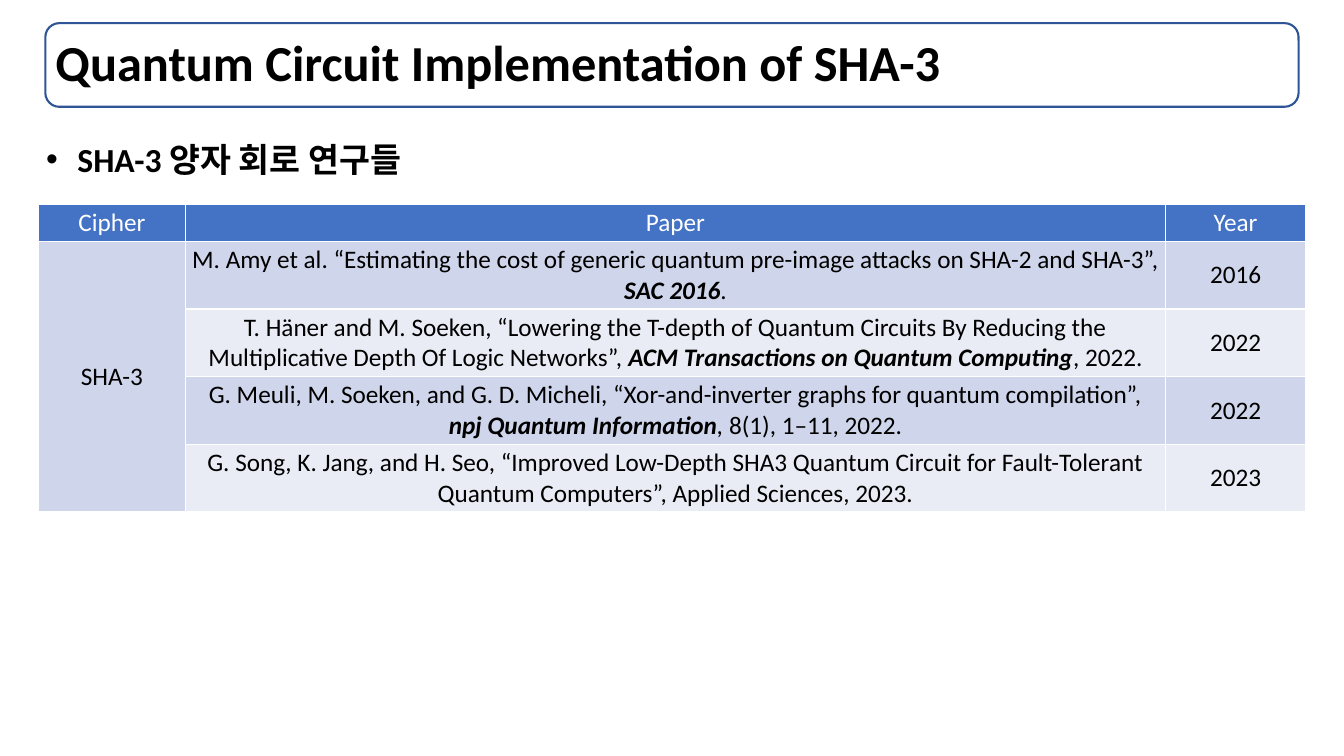
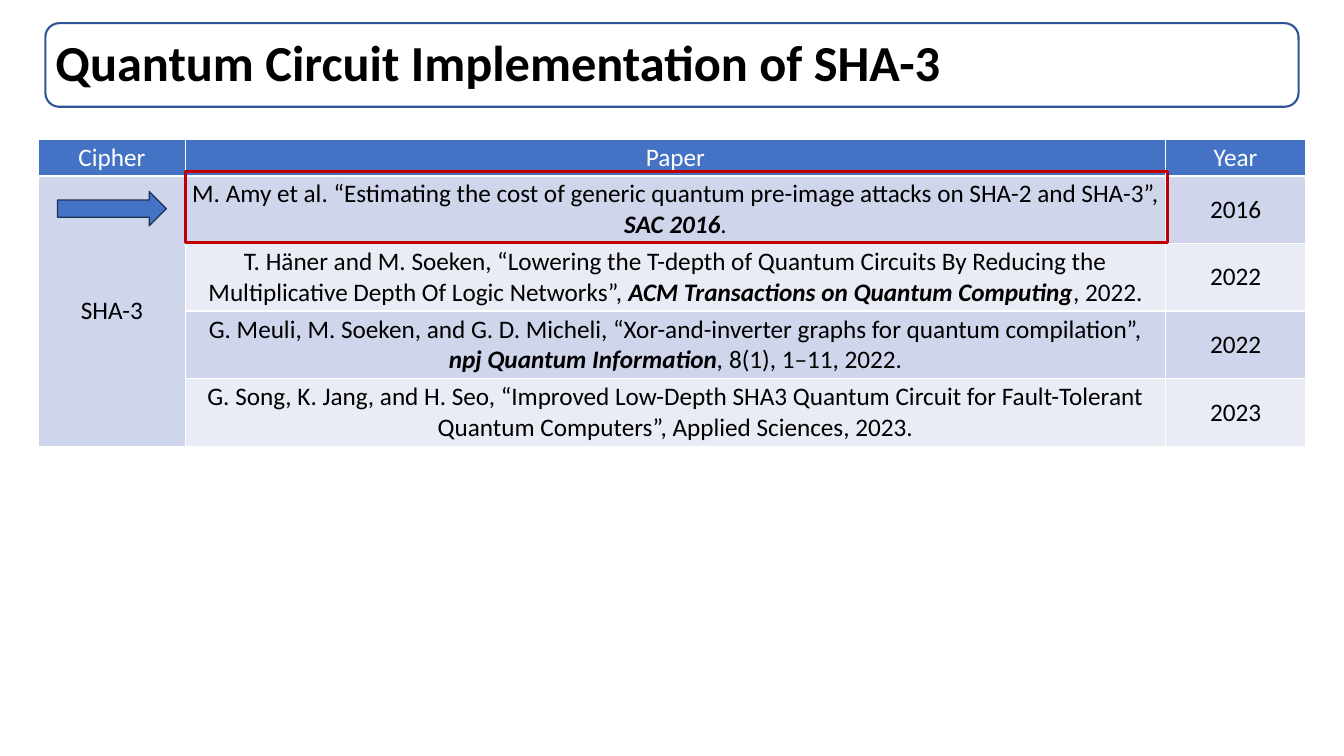
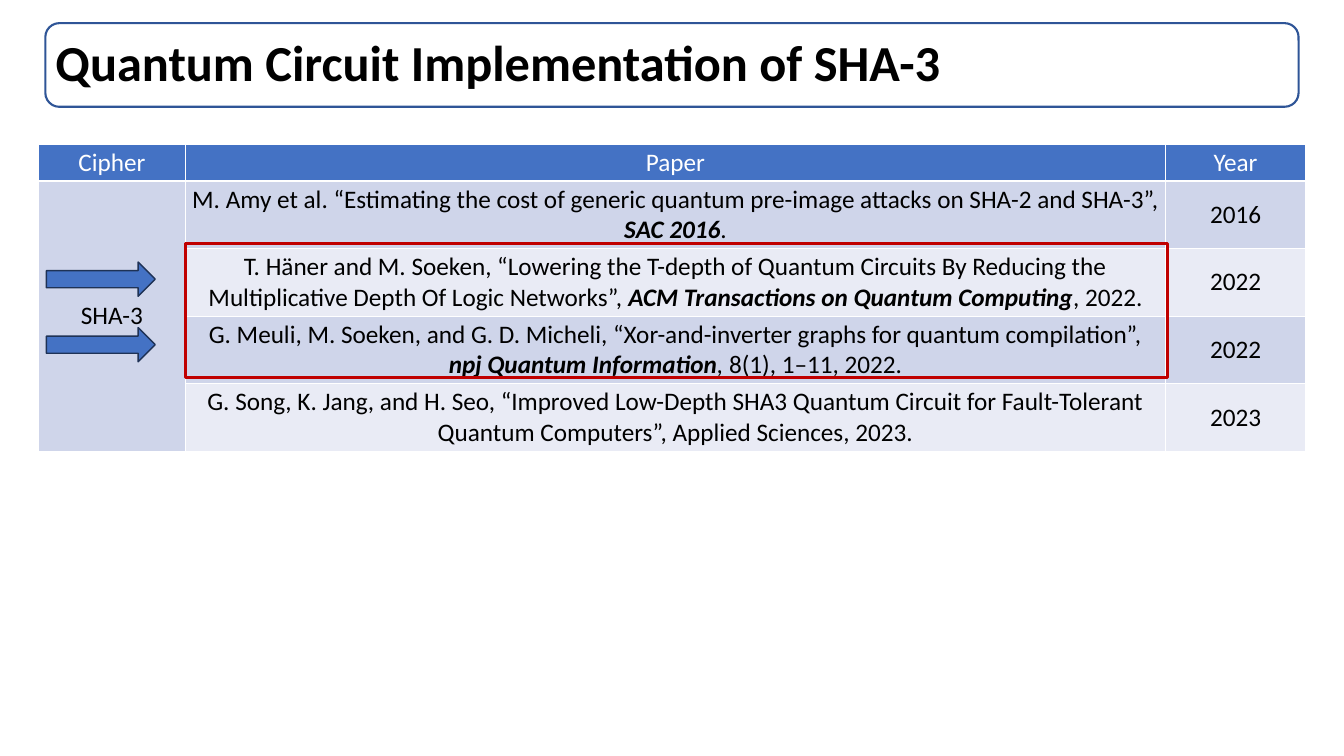
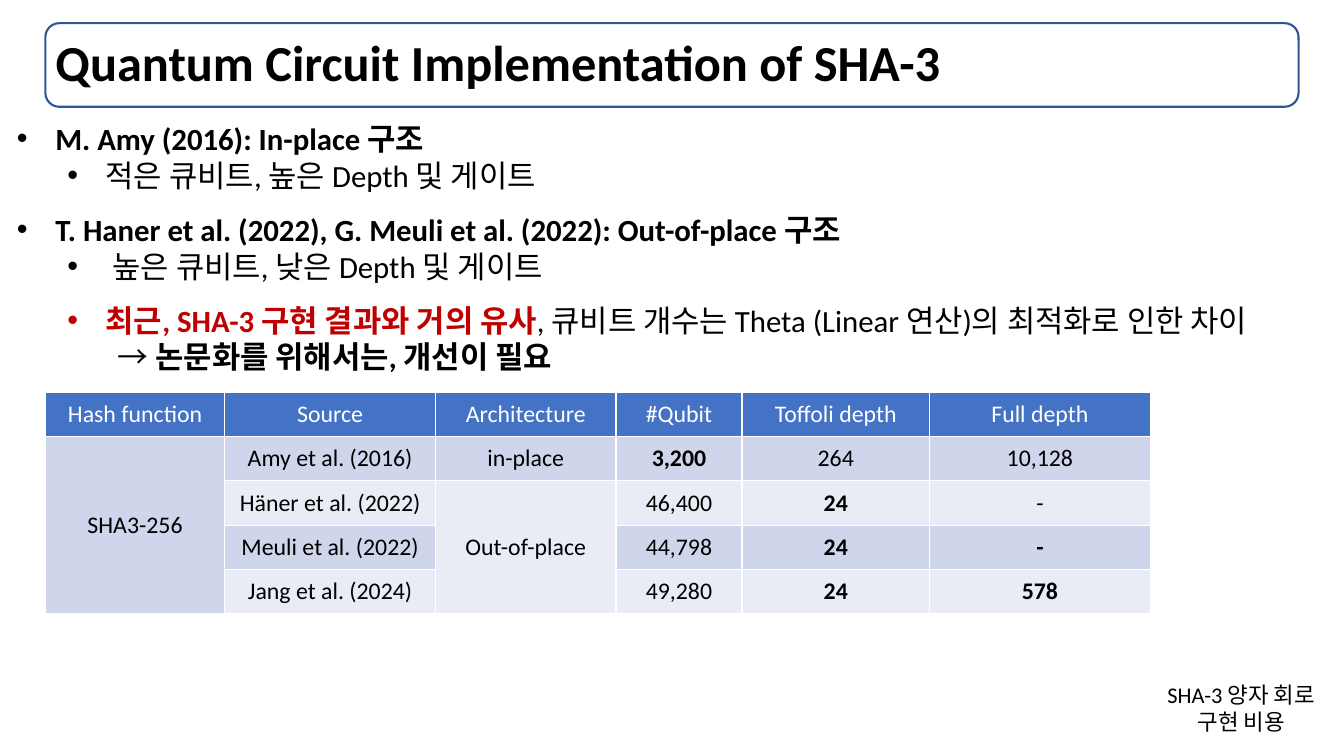
import lxml.etree
import pptx
import pptx.dml.color
import pptx.enum.shapes
import pptx.enum.text
import pptx.oxml.ns
import pptx.util

Inches, Pt = pptx.util.Inches, pptx.util.Pt
ALIGN = pptx.enum.text.PP_ALIGN
SHAPE = pptx.enum.shapes.MSO_SHAPE
MIDDLE = pptx.enum.text.MSO_ANCHOR.MIDDLE
hex_color = pptx.dml.color.RGBColor.from_string

BLACK, WHITE, BLUE, RED = "000000", "FFFFFF", "4472C4", "C00000"
BAND_COLORS = ["E9EBF5", "CFD5EA"]
BANNER_LINE, ARROW_LINE = "2F5597", "1E3256"
FONT = "Calibri"
TITLE = "Quantum Circuit Implementation of SHA-3"


def add_run(paragraph, text, size, color=BLACK, style=""):
    """Style holds b for bold and i for italic."""
    run = paragraph.add_run()
    run.text = text
    run.font.name = FONT
    run.font.size = Pt(size)
    run.font.color.rgb = hex_color(color)
    run.font.bold = "b" in style
    run.font.italic = "i" in style


def add_banded_table(slide, left, top, widths, heights, rows, spans, size, margins):
    """Cells hold a string or a list of (text, style); spans are (row, column, last row)."""
    table = slide.shapes.add_table(
        len(rows), len(widths), Inches(left), Inches(top),
        Inches(sum(widths)), Inches(sum(heights))).table
    for column, width in zip(table.columns, widths):
        column.width = Inches(width)
    for row, height in zip(table.rows, heights):
        row.height = Inches(height)
    for row_index, row in enumerate(rows):
        for column_index, content in enumerate(row):
            cell = table.cell(row_index, column_index)
            cell.fill.solid()
            cell.fill.fore_color.rgb = hex_color(BAND_COLORS[row_index % 2] if row_index else BLUE)
            cell.vertical_anchor = MIDDLE
            cell.margin_left = cell.margin_right = Inches(margins[0])
            cell.margin_top = cell.margin_bottom = Inches(margins[1])
            if content is None:
                continue
            paragraph = cell.text_frame.paragraphs[0]
            paragraph.alignment = ALIGN.CENTER
            runs = [(content, "")] if isinstance(content, str) else content
            for text, style in runs:
                add_run(paragraph, text, size, BLACK if row_index else WHITE, style)
    for first_row, column_index, last_row in spans:
        table.cell(first_row, column_index).merge(table.cell(last_row, column_index))


presentation = pptx.Presentation()
presentation.slide_width = Inches(13.33)
presentation.slide_height = Inches(7.5)

# Shared title and banner
layout = presentation.slide_layouts.get_by_name("Title Only")
banner_box = [Inches(length) for length in (0.45, 0.23, 12.43, 0.83)]
layout_title = layout.placeholders[0]
layout_title.left, layout_title.top, layout_title.width, layout_title.height = banner_box

slides = []
for _ in range(4):
    slide = presentation.slides.add_slide(layout)
    text_frame = slide.shapes.title.text_frame
    text_frame.vertical_anchor = MIDDLE
    text_frame.auto_size = pptx.enum.text.MSO_AUTO_SIZE.NONE
    paragraph = text_frame.paragraphs[0]
    paragraph.alignment = ALIGN.LEFT
    paragraph.line_spacing = 0.9
    add_run(paragraph, TITLE, 36, style="b")
    slides.append(slide)
overview_slide, in_place_slide, out_of_place_slide, cost_slide = slides

banner = overview_slide.shapes.add_shape(SHAPE.ROUNDED_RECTANGLE, *banner_box)
banner.shadow.inherit = False
banner.fill.background()
banner.line.color.rgb = hex_color(BANNER_LINE)
banner.line.width = Pt(1.5)
banner.element.nvSpPr.cNvPr.set("id", "20")
layout.shapes.element.insert(2, banner.element)

# Paper tables
papers = [
    ["Cipher", "Paper", "Year"],
    ["SHA-3",
     [("M. Amy et al. “Estimating the cost of generic quantum pre-image attacks on SHA-2 and SHA-3”, ", ""),
      ("SAC 2016", "bi"), (".", "")],
     "2016"],
    [None,
     [("T. Häner and M. Soeken, “Lowering the T-depth of Quantum Circuits By Reducing the "
       "Multiplicative Depth Of Logic Networks”, ", ""),
      ("ACM Transactions on Quantum Computing", "bi"), (", 2022.", "")],
     "2022"],
    [None,
     [("G. Meuli, M. Soeken, and G. D. Micheli, “Xor-and-inverter graphs for quantum compilation”, ", ""),
      ("npj Quantum Information", "bi"), (", ", "i"), ("8(1), 1–11, 2022.", "")],
     "2022"],
    [None,
     "G. Song, K. Jang, and H. Seo, “Improved Low-Depth SHA3 Quantum Circuit for Fault-Tolerant "
     "Quantum Computers”, Applied Sciences, 2023.",
     "2023"],
]
for slide, top, row_height in [(overview_slide, 2.03, 0.67),
                               (in_place_slide, 1.38, 0.66),
                               (out_of_place_slide, 1.43, 0.67)]:
    add_banded_table(slide, 0.38, top, [1.46, 9.72, 1.39], [0.36] + [row_height] * 4,
                     papers, [(1, 0, 4)], 18, (0.05, 0.03))

# Highlighted papers
for slide, frame_top, frame_height, arrow_left, arrow_tops in [
        (in_place_slide, 1.7, 0.71, 0.57, [1.9]),
        (out_of_place_slide, 2.42, 1.33, 0.46, [2.6, 3.25])]:
    frame = slide.shapes.add_shape(SHAPE.RECTANGLE, Inches(1.84), Inches(frame_top),
                                   Inches(9.74), Inches(frame_height))
    frame.shadow.inherit = False
    frame.fill.background()
    frame.line.color.rgb = hex_color(RED)
    frame.line.width = Pt(2.25)
    for arrow_top in arrow_tops:
        arrow = slide.shapes.add_shape(SHAPE.RIGHT_ARROW, Inches(arrow_left), Inches(arrow_top),
                                       Inches(1.08), Inches(0.34))
        arrow.shadow.inherit = False
        arrow.fill.solid()
        arrow.fill.fore_color.rgb = hex_color(BLUE)
        arrow.line.color.rgb = hex_color(ARROW_LINE)
        arrow.line.width = Pt(1)

# Cost table
costs = [
    ["Hash function", "Source", "Architecture", "#Qubit", "Toffoli depth", "Full depth"],
    ["SHA3-256", "Amy et al. (2016)", "in-place", [("3,200", "b")], "264", "10,128"],
    [None, "Häner et al. (2022)", "Out-of-place", "46,400", [("24", "b")], "-"],
    [None, "Meuli et al. (2022)", None, "44,798", [("24", "b")], [("-", "b")]],
    [None, "Jang et al. (2024)", None, "49,280", [("24", "b")], [("578", "b")]],
]
add_banded_table(cost_slide, 0.45, 3.89, [1.78, 2.09, 1.79, 1.25, 1.86, 2.19], [0.44] * 5,
                 costs, [(1, 0, 4), (2, 2, 4)], 17, (0.1, 0.05))

# Text boxes: each line is level, left margin, hanging indent, space before, runs
text_boxes = [
    (overview_slide, (0.36, 1.33, 3.94, 0.5), 24, ALIGN.LEFT, [
        (0, 0.31, 0.31, 0, [("SHA-3 양자 회로 연구들", BLACK, "b")]),
    ]),
    (cost_slide, (0.07, 1.14, 13.68, 2.66), 22, ALIGN.LEFT, [
        (0, 0.38, 0.38, 0, [("M. Amy (2016): In-place 구조", BLACK, "b")]),
        (1, 0.88, 0.38, 0, [("적은 큐비트, 높은 Depth 및 게이트", BLACK, "")]),
        (0, 0.38, 0.38, 12, [("T. Haner et al. (2022), G. Meuli et al. (2022): Out-of-place 구조", BLACK, "b")]),
        (1, 0.88, 0.38, 0, [(" 높은 큐비트, 낮은 Depth 및 게이트", BLACK, "")]),
        (1, 0.88, 0.38, 12, [("최근, SHA-3 구현 결과와 거의 유사", RED, "b"),
                             (", 큐비트 개수는 Theta (Linear 연산)의 최적화로 인한 차이", BLACK, "")]),
        (2, 1, 0, 0, [("→ ", BLACK, ""), ("논문화를 위해서는, 개선이 필요", BLACK, "b")]),
    ]),
    (cost_slide, (11.4, 6.71, 1.82, 0.64), 16, ALIGN.CENTER, [
        (0, 0, 0, 0, [("SHA-3 양자 회로 구현 비용", BLACK, "")]),
    ]),
]
for slide, box, size, alignment, lines in text_boxes:
    text_frame = slide.shapes.add_textbox(*[Inches(length) for length in box]).text_frame
    text_frame.word_wrap = True
    for index, (level, margin, hanging, space_before, runs) in enumerate(lines):
        paragraph = text_frame.add_paragraph() if index else text_frame.paragraphs[0]
        paragraph.level = level
        paragraph.alignment = alignment
        if space_before:
            paragraph.space_before = Pt(space_before)
        properties = paragraph._p.get_or_add_pPr()
        properties.set("marL", str(Inches(margin)))
        properties.set("indent", str(-Inches(hanging)))
        if hanging:
            bullet_font = lxml.etree.SubElement(properties, pptx.oxml.ns.qn("a:buFont"))
            bullet_font.set("typeface", "Arial")
            bullet = lxml.etree.SubElement(properties, pptx.oxml.ns.qn("a:buChar"))
            bullet.set("char", "•")
        for text, color, style in runs:
            add_run(paragraph, text, size, color, style)

presentation.save("out.pptx")
